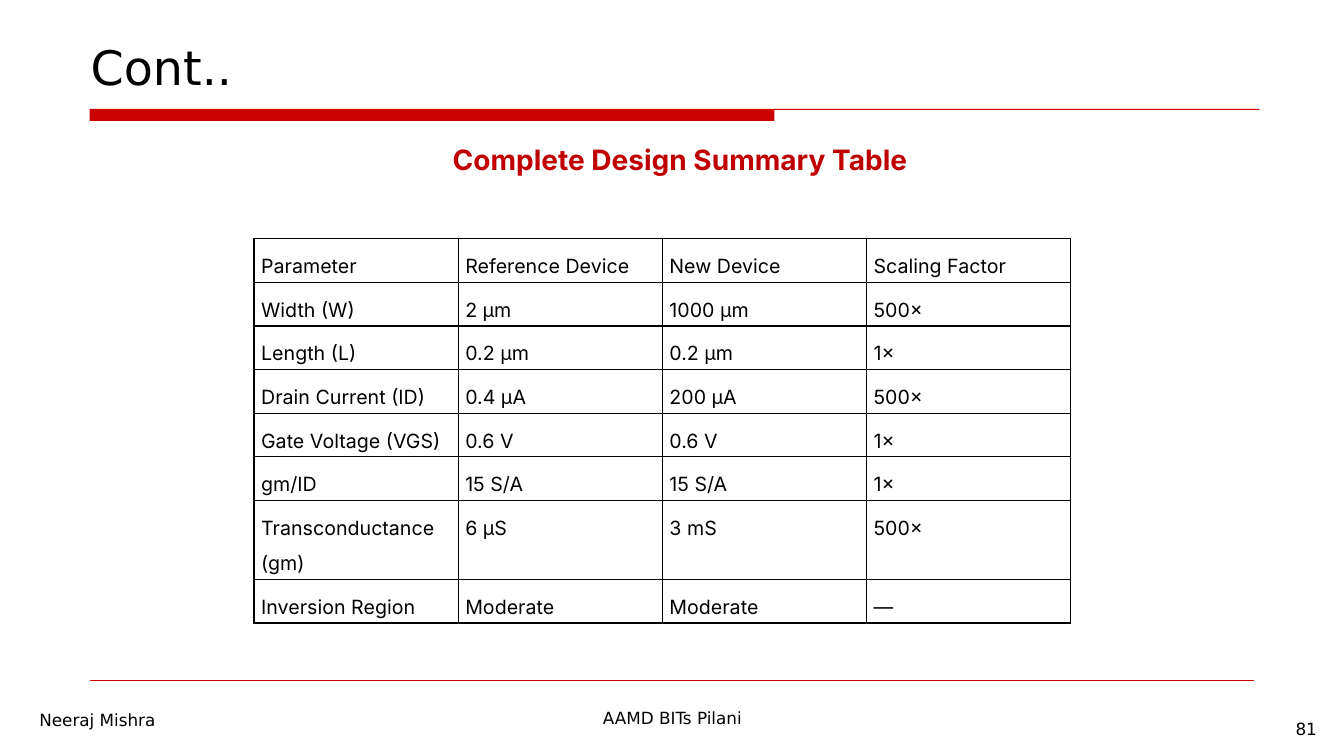
from lxml.etree import SubElement
from pptx import Presentation
from pptx.dml.color import RGBColor
from pptx.enum.shapes import MSO_CONNECTOR
from pptx.enum.text import MSO_ANCHOR, MSO_AUTO_SIZE, PP_ALIGN
from pptx.oxml.ns import qn
from pptx.util import Inches, Pt

COLORS = {"ink": "000000", "accent": "CB0000", "heading": "C00000"}
UI_FONT, TEXT_FONT = "DejaVu Sans", "Inter"

SUMMARY = [
    ["Parameter", "Reference Device", "New Device", "Scaling Factor"],
    ["Width (W)", "2 μm", "1000 μm", "500×"],
    ["Length (L)", "0.2 μm", "0.2 μm", "1×"],
    ["Drain Current (ID)", "0.4 μA", "200 μA", "500×"],
    ["Gate Voltage (VGS)", "0.6 V", "0.6 V", "1×"],
    ["gm/ID", "15 S/A", "15 S/A", "1×"],
    ["Transconductance (gm)", "6 μS", "3 mS", "500×"],
    ["Inversion Region", "Moderate", "Moderate", "—"],
]


def color(name):
    return RGBColor.from_string(COLORS[name])


def write(frame, text, size, font, ink="ink", bold=False, align=PP_ALIGN.LEFT):
    frame.text = text
    paragraph = frame.paragraphs[0]
    paragraph.alignment = align
    run = paragraph.runs[0]
    run.font.size, run.font.name, run.font.bold = Pt(size), font, bold
    run.font.color.rgb = color(ink)
    return paragraph


def fit_frame(shape, box):
    shape.left, shape.top, shape.width, shape.height = map(Inches, box)
    frame = shape.text_frame
    frame.margin_left = frame.margin_right = 0
    frame.margin_top = frame.margin_bottom = 0
    frame.vertical_anchor = MSO_ANCHOR.TOP
    frame.auto_size = MSO_AUTO_SIZE.NONE
    frame.word_wrap = True
    return frame


def add_header(slide, box):
    left, top, width, height = box
    title = fit_frame(slide.shapes.title, (left + 0.01, top, width, 0.57))
    write(title, "Cont..", 34, UI_FONT)

    bar_top, bar_width, hairline = top + 0.7, 6.79, 0.01
    right, bottom = left + width, top + height
    bar_right, step = left + bar_width, bar_top + hairline
    outline = [(right, bar_top), (right, step), (bar_right, step),
               (bar_right, bottom), (left, bottom)]
    builder = slide.shapes.build_freeform(Inches(left), Inches(bar_top))
    builder.add_line_segments([(Inches(x), Inches(y)) for x, y in outline])
    rule = builder.convert_to_shape()
    rule.shadow.inherit = False
    rule.fill.solid()
    rule.fill.fore_color.rgb = color("accent")
    rule.line.fill.background()


def add_heading(slide, box):
    heading = fit_frame(slide.placeholders[1], box)
    paragraph = write(heading, "Complete Design Summary Table", 20, TEXT_FONT,
                      "heading", True, PP_ALIGN.CENTER)
    properties = paragraph._p.get_or_add_pPr()
    properties.set("marL", "0")
    properties.set("indent", "0")
    SubElement(properties, qn("a:buNone"))
    paragraph.space_before = Pt(0)


def add_borders(cell):
    properties = cell._tc.get_or_add_tcPr()
    for index, side in enumerate(("a:lnL", "a:lnR", "a:lnT", "a:lnB")):
        border = properties.makeelement(qn(side), {"w": str(Pt(1))})
        fill = SubElement(border, qn("a:solidFill"))
        SubElement(fill, qn("a:srgbClr"), val=COLORS["ink"])
        properties.insert(index, border)


def add_summary(slide, box):
    summary = slide.shapes.add_table(
        len(SUMMARY), len(SUMMARY[0]), *map(Inches, box)).table
    summary.first_row = summary.horz_banding = False
    for column in summary.columns:
        column.width = Inches(box[2] / len(SUMMARY[0]))
    for row, values in zip(summary.rows, SUMMARY):
        row.height = Inches(0.42)
        for cell, value in zip(row.cells, values):
            cell.fill.background()
            cell.margin_left = cell.margin_right = Inches(0.07)
            cell.margin_top = cell.margin_bottom = Inches(0.04)
            write(cell.text_frame, value, 14, TEXT_FONT).line_spacing = 1.5
            add_borders(cell)
    summary.rows[6].height = Inches(0.77)


def add_footer(slide, box):
    left, top, width, height = box
    rule = slide.shapes.add_connector(
        MSO_CONNECTOR.STRAIGHT, Inches(0.89), Inches(top),
        Inches(12.44), Inches(top))
    rule.line.color.rgb = color("accent")
    rule.line.width = Pt(0.25)
    SubElement(rule._element.spPr, qn("a:effectLst"))

    labels = [("AAMD BITs Pilani", 5.59, 0.27, 1.71),
              ("Neeraj Mishra", 0, 0.29, 1.25),
              ("81", width - 0.27, 0.38, 0.27)]
    for text, x, y, label_width in labels:
        label = slide.shapes.add_textbox(0, 0, 0, 0)
        frame = fit_frame(label, (left + x, top + y, label_width, 0.23))
        write(frame, text, 12, UI_FONT)


def main():
    deck = Presentation()
    deck.slide_width, deck.slide_height = Inches(13.33), Inches(7.5)
    slide = deck.slides.add_slide(deck.slide_layouts[1])
    add_header(slide, (0.89, 0.38, 11.6, 0.82))
    add_heading(slide, (3.61, 1.41, 6.27, 0.34))
    add_summary(slide, (2.52, 2.37, 8.1, 3.76))
    add_footer(slide, (0.39, 6.75, 12.73, 0.61))
    deck.save("out.pptx")


if __name__ == "__main__":
    main()
